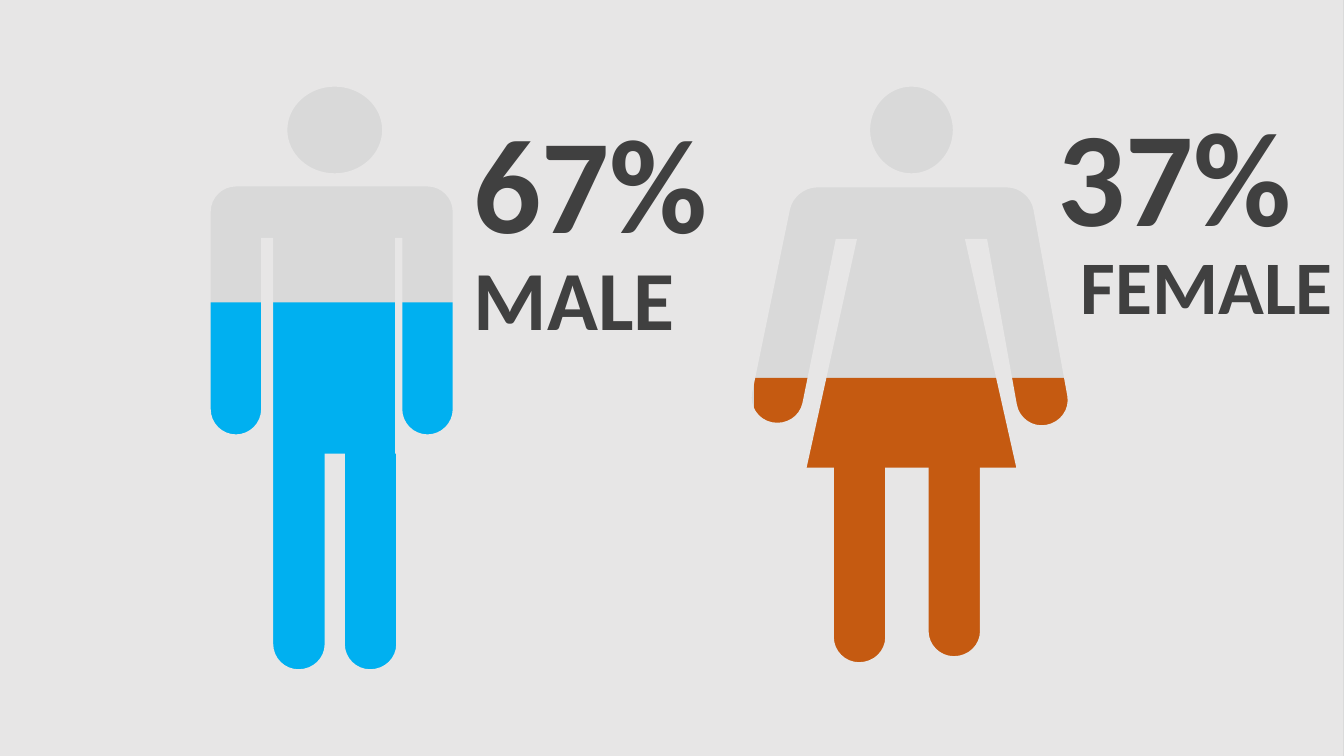
"""Build a slide of male and female figures filled to their percentages."""
from dataclasses import dataclass
from math import dist

from pptx import Presentation
from pptx.dml.color import RGBColor
from pptx.enum.dml import MSO_PATTERN
from pptx.enum.shapes import MSO_SHAPE
from pptx.enum.text import MSO_AUTO_SIZE
from pptx.oxml.ns import qn
from pptx.shapes.autoshape import Shape
from pptx.slide import Slide
from pptx.util import Inches, Pt

RECTANGLE = MSO_SHAPE.RECTANGLE
HATCH = MSO_PATTERN.DARK_UPWARD_DIAGONAL
GROW = MSO_AUTO_SIZE.SHAPE_TO_FIT_TEXT

BACKDROP = RGBColor(0xD9, 0xD9, 0xD9)
MASK = RGBColor(0xE7, 0xE6, 0xE6)
ORANGE = RGBColor(0xC5, 0x5A, 0x11)
BLUE = RGBColor(0x00, 0xB0, 0xF0)
HATCH_GRAY = RGBColor(0x80, 0x80, 0x80)
TEXT_DARK = RGBColor(0x40, 0x40, 0x40)

FONT = "Calibri"
ARC = 0.55
JOIN_GAP = 0.03

Point = tuple[float, float]


@dataclass(frozen=True)
class Level:
    left: float
    top: float
    width: float
    height: float
    color: RGBColor


@dataclass(frozen=True)
class Label:
    text: str
    left: float
    top: float
    height: float
    size: int


@dataclass(frozen=True)
class Corner:
    x: float
    y: float
    trim: float = 0


@dataclass(frozen=True)
class Head:
    x: float
    y: float
    radius_x: float
    radius_y: float


@dataclass(frozen=True)
class Contour:
    start: Point
    segments: list[list[Point]]


LEVELS = [
    Level(7.48, 3.75, 3.14, 3, ORANGE),
    Level(1.99, 3, 2.62, 3.75, BLUE),
]
LABELS = [
    Label("67%", 4.6, 0.93, 1.72, 96),
    Label("MALE", 4.6, 2.4, 1.11, 60),
    Label("FEMALE", 10.62, 2.32, 1.01, 54),
    Label("37%", 10.39, 0.86, 1.72, 96),
]
LABEL_WIDTH = 2.88
HEADS = [Head(9.04, 1.29, 0.41, 0.43), Head(3.32, 1.29, 0.47, 0.43)]
FEMALE_BODY = [
    Corner(7.88, 1.86, 0.22),
    Corner(7.41, 4.14, 0.25), Corner(7.91, 4.24, 0.25),
    Corner(8.29, 2.37), Corner(8.5, 2.37),
    Corner(8, 4.64), Corner(8.27, 4.64),
    Corner(8.27, 6.57, 0.25), Corner(8.78, 6.57, 0.25),
    Corner(8.78, 4.64), Corner(9.21, 4.64),
    Corner(9.21, 6.51, 0.25), Corner(9.72, 6.51, 0.25),
    Corner(9.72, 4.64), Corner(10.08, 4.64),
    Corner(9.57, 2.37), Corner(9.79, 2.37),
    Corner(10.13, 4.26, 0.25), Corner(10.63, 4.17, 0.25),
    Corner(10.21, 1.86, 0.22),
]
MALE_BODY = [
    Corner(2.09, 1.85, 0.25),
    Corner(2.09, 4.31, 0.25), Corner(2.59, 4.31, 0.25),
    Corner(2.59, 2.36), Corner(2.71, 2.36),
    Corner(2.71, 6.64, 0.25), Corner(3.22, 6.64, 0.25),
    Corner(3.22, 4.5), Corner(3.42, 4.5),
    Corner(3.42, 6.64, 0.25), Corner(3.93, 6.64, 0.25),
    Corner(3.93, 4.5), Corner(3.92, 4.5),
    Corner(3.92, 2.36), Corner(3.99, 2.36),
    Corner(3.99, 4.31, 0.25), Corner(4.49, 4.31, 0.25),
    Corner(4.49, 1.85, 0.25),
]
FRAME = Contour((0, 0), [[(13.32, 0)], [(13.32, 7.5)], [(0, 7.5)]])


def toward(corner: Corner, neighbor: Corner, length: float) -> Point:
    """Return the point at a length from a corner along an edge."""
    share = length / dist((corner.x, corner.y), (neighbor.x, neighbor.y))
    return (corner.x + (neighbor.x - corner.x) * share,
            corner.y + (neighbor.y - corner.y) * share)


def body_contour(corners: list[Corner]) -> Contour:
    """Return the contour of a body with its trimmed corners rounded."""
    segments: list[list[Point]] = []
    for index, corner in enumerate(corners):
        before = corners[index - 1]
        after = corners[(index + 1) % len(corners)]
        entry = toward(corner, before, corner.trim)
        if not segments or dist(segments[-1][-1], entry) > JOIN_GAP or not corner.trim:
            segments.append([entry])
        if corner.trim:
            handle = corner.trim * (1 - ARC)
            segments.append([toward(corner, before, handle),
                             toward(corner, after, handle),
                             toward(corner, after, corner.trim)])
    return Contour(segments[0][0], segments[1:])


def head_contour(head: Head) -> Contour:
    """Return the elliptical contour of a head."""
    compass = [(0, -1), (-1, 0), (0, 1), (1, 0), (0, -1)]

    def place(x: float, y: float) -> Point:
        """Scale a unit position to the head."""
        return head.x + x * head.radius_x, head.y + y * head.radius_y

    segments = [
        [place(ax + ARC * bx, ay + ARC * by),
         place(bx + ARC * ax, by + ARC * ay), place(bx, by)]
        for (ax, ay), (bx, by) in zip(compass, compass[1:])]
    return Contour(place(*compass[0]), segments)


def paint(shape: Shape, color: RGBColor) -> None:
    """Give a shape a plain fill without line or shadow."""
    shape.fill.solid()
    shape.fill.fore_color.rgb = color
    shape.line.fill.background()
    shape.shadow.inherit = False


def draw_level(slide: Slide, level: Level) -> None:
    """Draw the coloured level seen through a figure."""
    block = slide.shapes.add_shape(
        RECTANGLE, Inches(level.left), Inches(level.top),
        Inches(level.width), Inches(level.height))
    paint(block, level.color)


def draw_mask(slide: Slide, contours: list[Contour]) -> None:
    """Draw the sheet with the figures cut out of it."""
    builder = slide.shapes.build_freeform(*map(Inches, contours[0].start))
    for index, contour in enumerate(contours):
        if index:
            builder.move_to(*map(Inches, contour.start))
        builder.add_line_segments(
            [(Inches(x), Inches(y)) for segment in contour.segments for x, y in segment],
            close=True)
    sheet = builder.convert_to_shape()
    steps = iter(list(sheet.element.iter(qn("a:lnTo"))))
    for contour in contours:
        for segment in contour.segments:
            curve = next(steps)
            if len(segment) == 3:
                curve.tag = qn("a:cubicBezTo")
                for _ in range(2):
                    step = next(steps)
                    curve.append(step[0])
                    step.getparent().remove(step)
    paint(sheet, MASK)


def draw_label(slide: Slide, label: Label) -> None:
    """Write a bold hatched label."""
    box = slide.shapes.add_textbox(
        Inches(label.left), Inches(label.top),
        Inches(LABEL_WIDTH), Inches(label.height))
    frame = box.text_frame
    frame.word_wrap = True
    frame.auto_size = GROW
    frame.text = label.text
    font = frame.paragraphs[0].runs[0].font
    font.name = FONT
    font.size = Pt(label.size)
    font.bold = True
    font.fill.patterned()
    font.fill.pattern = HATCH
    font.fill.fore_color.rgb = HATCH_GRAY
    font.fill.back_color.rgb = TEXT_DARK


def main() -> None:
    """Build and save the slide."""
    deck = Presentation()
    deck.slide_width, deck.slide_height = Inches(13.33), Inches(7.5)
    slide = deck.slides.add_slide(deck.slide_layouts[6])
    slide.background.fill.solid()
    slide.background.fill.fore_color.rgb = BACKDROP
    for level in LEVELS:
        draw_level(slide, level)
    bodies = map(body_contour, (FEMALE_BODY, MALE_BODY))
    draw_mask(slide, [*bodies, *map(head_contour, HEADS), FRAME])
    for label in LABELS:
        draw_label(slide, label)
    deck.save("out.pptx")


if __name__ == "__main__":
    main()
